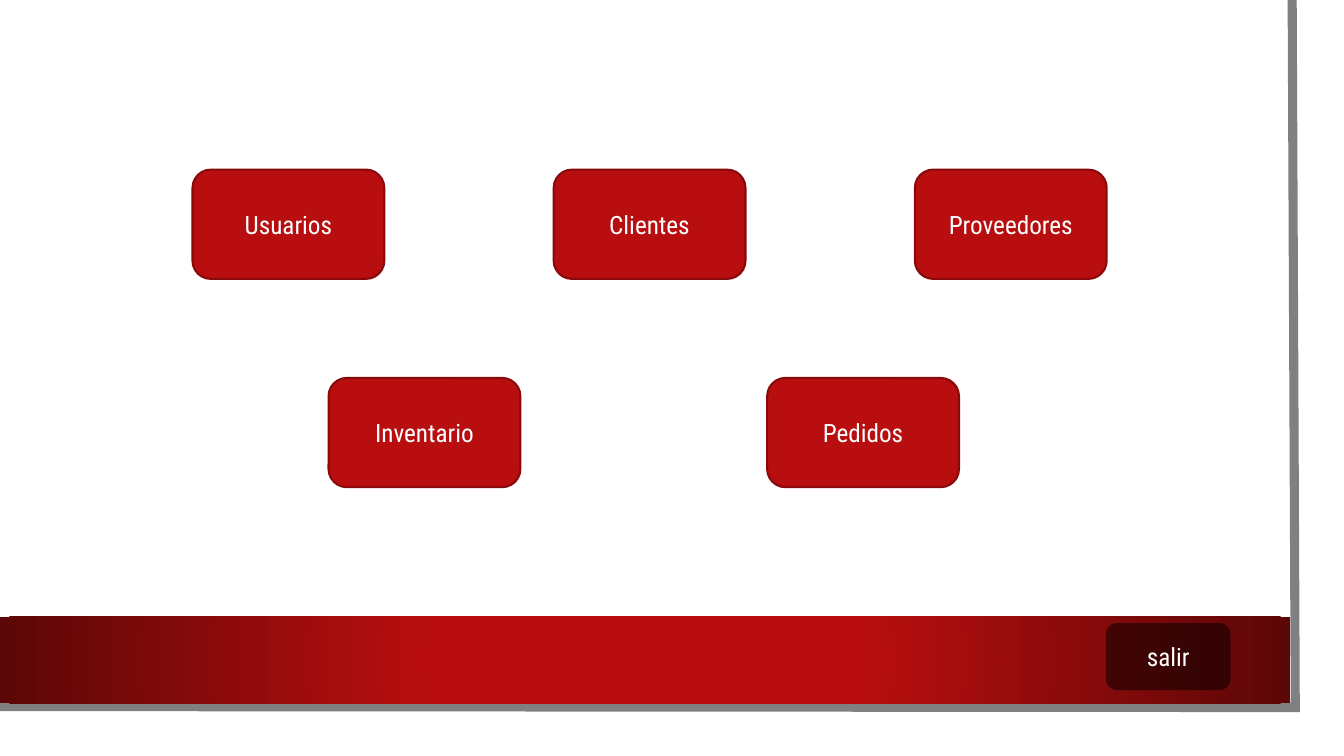
import pptx
import pptx.dml.color
import pptx.enum.shapes
import pptx.enum.text
import pptx.oxml.ns
import pptx.util
from lxml import etree

Pt = pptx.util.Pt
RGBColor = pptx.dml.color.RGBColor
SHAPES = pptx.enum.shapes.MSO_SHAPE
qn = pptx.oxml.ns.qn

WHITE = RGBColor(0xFF, 0xFF, 0xFF)
BLACK = RGBColor(0x00, 0x00, 0x00)
RED = RGBColor(0xB8, 0x0E, 0x0F)
RED_BORDER = RGBColor(0x88, 0x0A, 0x0B)
DARK_RED = RGBColor(0x5C, 0x07, 0x07)
GREY = RGBColor(0x80, 0x80, 0x80)

LABEL_FORMAT = {"name": "Roboto Condensed", "size": Pt(18)}


def add_box(kind, left, top, width, height, fill_color):
    shape = slide.shapes.add_shape(kind, Pt(left), Pt(top), Pt(width), Pt(height))
    shape.shadow.inherit = False
    shape.fill.solid()
    shape.fill.fore_color.rgb = fill_color
    shape.line.fill.background()
    return shape


def add_label(shape, text):
    shape.text_frame.vertical_anchor = pptx.enum.text.MSO_ANCHOR.MIDDLE
    paragraph = shape.text_frame.paragraphs[0]
    paragraph.alignment = pptx.enum.text.PP_ALIGN.CENTER
    run = paragraph.add_run()
    run.text = text
    for attribute, value in LABEL_FORMAT.items():
        setattr(run.font, attribute, value)
    run.font.color.rgb = WHITE


presentation = pptx.Presentation()
presentation.slide_width = Pt(960)
presentation.slide_height = Pt(540)
slide = presentation.slides.add_slide(presentation.slide_layouts[6])

# White page
add_box(SHAPES.RECTANGLE, 0, 0, 943, 523.5, WHITE)

# Grey edge along the right and bottom of the page
builder = slide.shapes.build_freeform(Pt(923), Pt(0))
builder.add_line_segments([(Pt(925.2), Pt(505.4)), (Pt(-2.2), Pt(504.7))], close=False)
edge = builder.convert_to_shape()
edge.shadow.inherit = False
edge.fill.background()
edge.line.color.rgb = GREY
edge.line.width = Pt(6.5)
corner = etree.SubElement(edge.line.fill._xPr, qn("a:miter"))
corner.set("lim", "800000")

# Footer band, bright in the centre and dark at both ends
band = add_box(SHAPES.RECTANGLE, 0, 440.7, 921.5, 61.5, RED)
band.fill.gradient()
for stop, (position, color) in zip(band.fill.gradient_stops, [(0.34, RED), (1, DARK_RED)]):
    stop.position = position
    stop.color.rgb = color
gradient = band.element.spPr.find(qn("a:gradFill"))
gradient.remove(gradient.find(qn("a:lin")))
circle = etree.SubElement(gradient, qn("a:path"), {"path": "circle"})
center = {side: "50000" for side in ("l", "t", "r", "b")}
etree.SubElement(circle, qn("a:fillToRect"), center)

# Menu buttons: left of the first, top, step to the next, labels
menu_rows = [
    (137.5, 121.2, 258, ["Usuarios", "Clientes", "Proveedores"]),
    (234.7, 270, 313.3, ["Inventario", "Pedidos"]),
]
for left, top, step, labels in menu_rows:
    for index, label in enumerate(labels):
        button = add_box(SHAPES.ROUNDED_RECTANGLE, left + index * step, top, 137, 78, RED)
        button.line.color.rgb = RED_BORDER
        button.line.width = Pt(1.5)
        add_label(button, label)

# Exit button, half transparent
exit_button = add_box(SHAPES.ROUNDED_RECTANGLE, 790, 445, 89, 48, BLACK)
exit_color = exit_button.element.spPr.find(qn("a:solidFill")).find(qn("a:srgbClr"))
etree.SubElement(exit_color, qn("a:alpha"), {"val": "50000"})
add_label(exit_button, "salir")

presentation.save("out.pptx")
